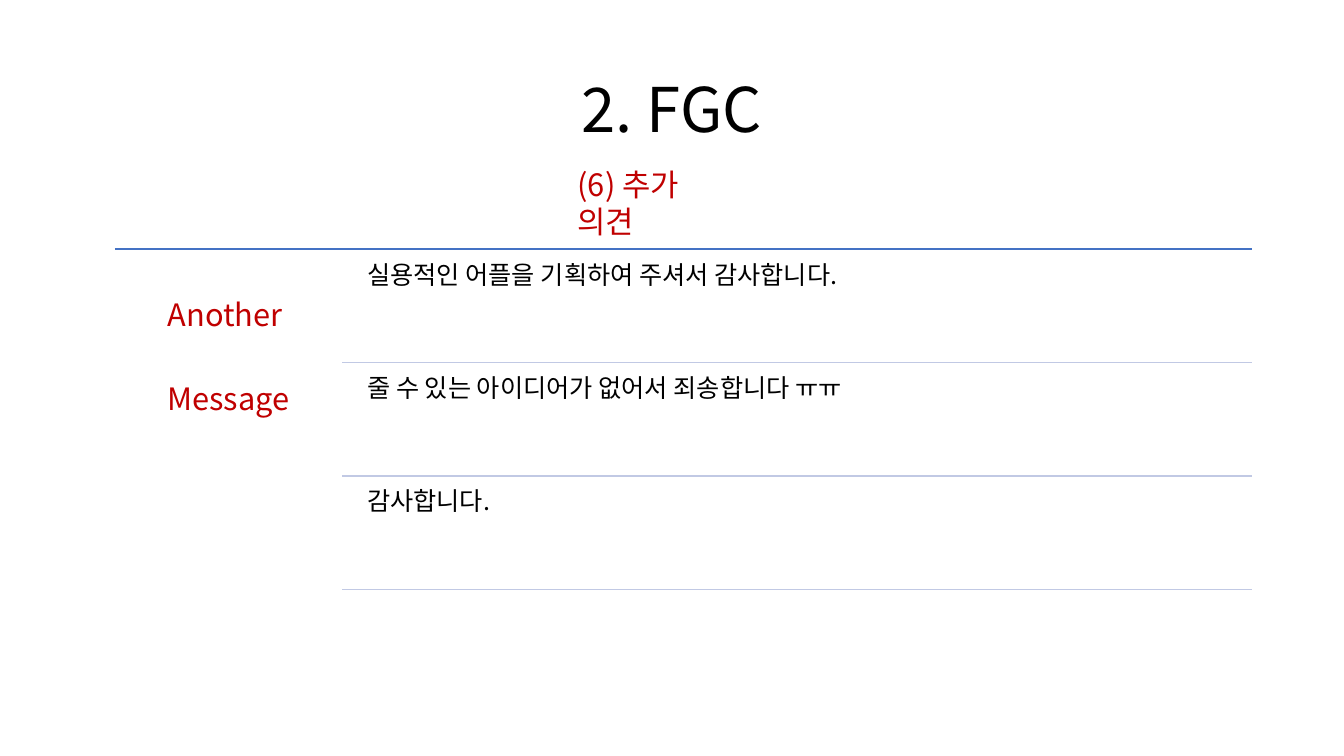
from lxml import etree
from pptx import Presentation
from pptx.dml.color import RGBColor
from pptx.enum.shapes import MSO_CONNECTOR
from pptx.enum.text import MSO_ANCHOR, PP_ALIGN
from pptx.oxml.ns import qn
from pptx.util import Pt

FONT = "Noto Sans CJK KR"
COLORS = {"text": "000000", "accent": "C00000", "rule": "4472C4", "divider": "C1C9E4"}
MESSAGES = [
    "실용적인 어플을 기획하여 주셔서 감사합니다.",
    "줄 수 있는 아이디어가 없어서 죄송합니다 ㅠㅠ",
    "감사합니다.",
]


def add_text(s, box, lines, size, color, align=PP_ALIGN.LEFT, anchor=MSO_ANCHOR.TOP,
             inset=None, spacing=None, after=None):
    tf = s.shapes.add_textbox(*map(Pt, box)).text_frame
    tf.word_wrap = True
    tf.vertical_anchor = anchor
    if inset is not None:
        tf.margin_left = tf.margin_right = tf.margin_top = tf.margin_bottom = Pt(inset)
    for i, line in enumerate(lines):
        p = tf.add_paragraph() if i else tf.paragraphs[0]
        p.text = line
        p.alignment = align
        p.line_spacing = spacing
        if after is not None:
            p.space_after = Pt(after)
        p.font.name = FONT
        p.font.size = Pt(size)
        p.font.color.rgb = RGBColor.from_string(COLORS[color])
        # East Asian typeface follows the Latin one
        for r in p.runs:
            etree.SubElement(r.font._element, qn("a:ea"), typeface=FONT)


def add_rule(s, left, right, y, color):
    line = s.shapes.add_connector(MSO_CONNECTOR.STRAIGHT, Pt(left), Pt(y), Pt(right), Pt(y))
    line.line.color.rgb = RGBColor.from_string(COLORS[color])
    line.line.width = Pt(1)
    etree.SubElement(line._element.spPr, qn("a:effectLst"))


def add_heading(s, left, top, width, height):
    add_text(s, (left, top, width, height), ["2. FGC"], 44, "text",
             PP_ALIGN.CENTER, MSO_ANCHOR.MIDDLE, spacing=0.9)
    # Subtitle
    add_text(s, (left + 339.5, top + 87, 131, 34), ["(6) 추가 의견"], 22, "accent")


def add_message_list(s, left, top, width, height):
    right = left + width
    label_width = width / 5
    row = (height - 4) / len(MESSAGES)
    # Top rule and label
    add_rule(s, left, right, top, "rule")
    add_text(s, (left, top, label_width, height), ["Another ", "Message"], 22, "accent",
             PP_ALIGN.CENTER, inset=6.6, spacing=2.0, after=7.7)
    # Messages, each closed by a divider
    text_left = left + label_width + 12.5
    for i, message in enumerate(MESSAGES):
        y = top + i * row
        add_text(s, (text_left, y + 4, right - text_left, row - 4), [message], 18, "text",
                 inset=5.4, spacing=0.9, after=6.3)
        add_rule(s, left + label_width, right, y + row, "divider")


def main():
    prs = Presentation()
    prs.slide_width, prs.slide_height = Pt(960), Pt(540)
    s = prs.slides.add_slide(prs.slide_layouts[6])
    add_heading(s, 66, 28, 828, 104.5)
    add_message_list(s, 82, 178, 812, 247)
    prs.save("out.pptx")


if __name__ == "__main__":
    main()
